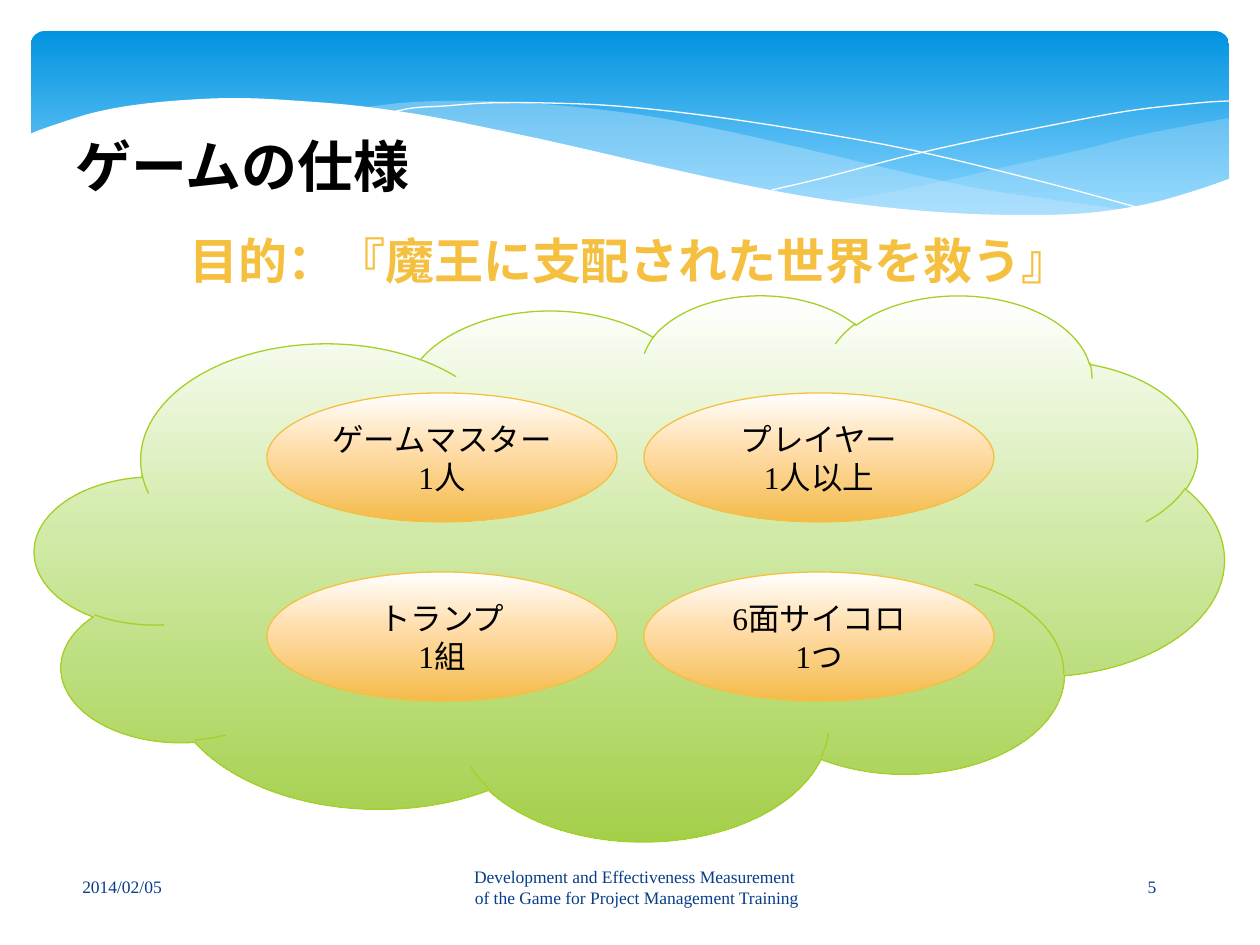
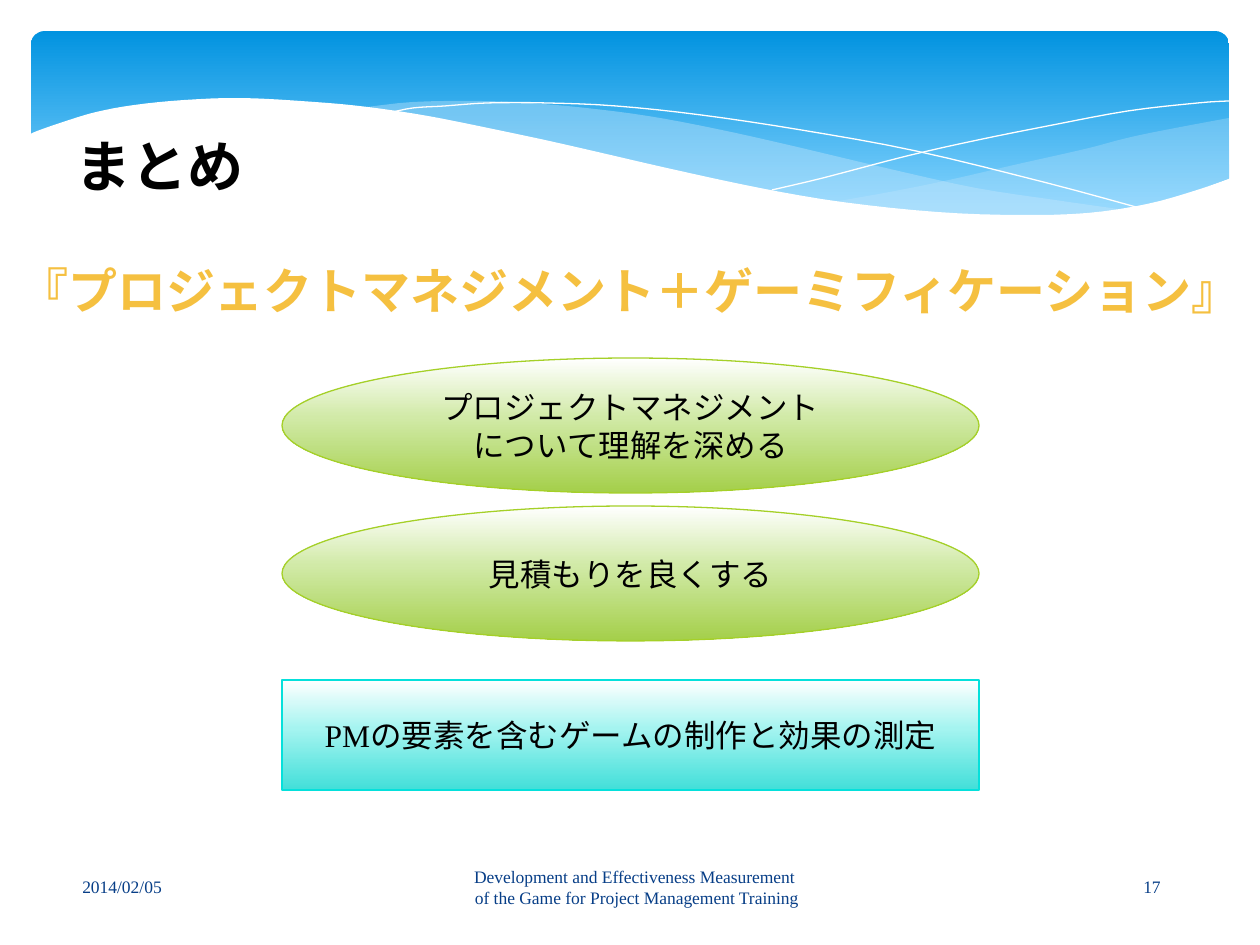
import dataclasses

import pptx
import pptx.dml.color
import pptx.enum.shapes
import pptx.enum.text
import pptx.oxml.ns
import pptx.util
from lxml import etree

EMU_PER_PX = 914400 / 126
SHAPE = pptx.enum.shapes.MSO_SHAPE
ALIGN = pptx.enum.text.PP_ALIGN
ANCHOR = pptx.enum.text.MSO_ANCHOR
qn = pptx.oxml.ns.qn


@dataclasses.dataclass(frozen=True)
class Theme:
    ink: str = "000000"
    paper: str = "FFFFFF"
    footer_ink: str = "073E87"
    gold: str = "F5C040"
    green: str = "A5D028"
    cyan: str = "05E0DB"
    ribbon: str = "C6E7FC"
    sky: tuple = ((0, "0293E0"), (90, "83D3FE"))
    gold_glow: tuple = ((0, "FFFFFF"), (44, "FFDDAA"), (100, "F4BB4A"))
    green_glow: tuple = ((0, "FFFFFF"), (44, "D1EAA7"), (100, "A4CF4A"))
    cyan_glow: tuple = ((0, "FFFFFF"), (44, "A5F4F0"), (100, "42DFD9"))
    title_size: int = 32
    slogan_size: int = 28
    body_size: int = 18
    footer_size: int = 10
    leading: float = 1.2
    title_font: str = "Arial"
    serif: str = "Times New Roman"
    japanese: str = "Noto Sans CJK JP"


THEME = Theme()

# Header curves in px from the header's corner
RIGHT_RIBBON = (
    [(1229, 118), (1160, 131), (1123, 139), (1085, 149), (1014, 165),
     (949, 180), (890, 192), (833, 202)],
    [(833, 202), (906, 210), (969, 215), (1026, 217), (1076, 214),
     (1130, 208), (1178, 197), (1230, 178)],
)
WIDE_RIBBON = (
    [(1125, 210), (1055, 200), (976, 188), (890, 169), (793, 146), (717, 129),
     (648, 116), (586, 108), (529, 103), (479, 101), (413, 102), (360, 108)],
    [(360, 108), (431, 118), (509, 134), (566, 146), (668, 170), (757, 189),
     (838, 203), (910, 212), (974, 217), (1031, 218), (1080, 215), (1125, 210)],
)
FALLING_THREAD = [
    (389, 113), (413, 108), (445, 106), (488, 103), (546, 103), (616, 106),
    (701, 115), (801, 130), (916, 151), (1047, 183), (1143, 209)]
RISING_THREAD = [
    (772, 190), (823, 178), (907, 156), (978, 140), (1053, 125), (1128, 111),
    (1198, 103), (1229, 101)]
PAPER_EDGE = [
    (1231, 178), (1197, 190), (1147, 204), (1087, 213), (1019, 215), (937, 212),
    (842, 202), (760, 188), (667, 168), (563, 144), (493, 129), (428, 116),
    (368, 107), (315, 102), (243, 98), (184, 100), (134, 105), (96, 112),
    (66, 121), (37, 131), (29, 135)]
PAPER_CORNERS = [(29, 282), (1231, 282)]


def px(length):
    return pptx.util.Emu(round(length * EMU_PER_PX))


def rgb(color):
    return pptx.dml.color.RGBColor.from_string(color)


def smooth(knots, steps=4):
    """Return points on a Catmull-Rom curve through the knots."""
    padded = [knots[0], *knots, knots[-1]]
    points = [knots[0]]
    for a, b, c, d in zip(padded, padded[1:], padded[2:], padded[3:]):
        for step in range(1, steps + 1):
            t = step / steps
            points.append(tuple(
                (2 * q + (r - p) * t + (2 * p - 5 * q + 4 * r - s) * t ** 2
                 + (3 * q - p - 3 * r + s) * t ** 3) / 2
                for p, q, r, s in zip(a, b, c, d)))
    return points


def fill_gradient(shape, stops):
    """Fill from top to bottom with (percent, colour) stops."""
    shape.fill.gradient()
    shape.fill.gradient_angle = 270
    stop_list = shape._element.spPr.find(".//" + qn("a:gsLst"))
    for old_stop in list(stop_list):
        stop_list.remove(old_stop)
    for percent, color in stops:
        stop = etree.SubElement(stop_list, qn("a:gs"), pos=str(percent * 1000))
        etree.SubElement(stop, qn("a:srgbClr"), val=color)


def write(shape, text, size, font, color, bold=False, align=ALIGN.CENTER,
          anchor=ANCHOR.MIDDLE):
    frame = shape.text_frame
    frame.text = text
    frame.word_wrap = True
    frame.vertical_anchor = anchor
    for paragraph in frame.paragraphs:
        paragraph.alignment = align
        paragraph.line_spacing = pptx.util.Pt(round(size * THEME.leading))
        for run in paragraph.runs:
            run.font.size = pptx.util.Pt(size)
            run.font.name = font
            run.font.bold = bold
            run.font.color.rgb = rgb(color)
            etree.SubElement(run._r.get_or_add_rPr(), qn("a:ea"),
                             typeface=THEME.japanese)


def add_text(slide, box, text, *style, **options):
    write(slide.shapes.add_textbox(*map(px, box)), text, *style, **options)


def add_glow_shape(slide, kind, box, stops, outline=None, text="",
                   font=THEME.serif):
    shape = slide.shapes.add_shape(kind, *map(px, box))
    shape.shadow.inherit = False
    fill_gradient(shape, stops)
    if outline:
        shape.line.color.rgb = rgb(outline)
        shape.line.width = pptx.util.Pt(0.75)
    else:
        shape.line.fill.background()
    if text:
        write(shape, text, THEME.body_size, font, THEME.ink)
    return shape


def add_outline(slide, origin, points, close):
    left, top = origin
    (start_x, start_y), *rest = [(px(left + x), px(top + y)) for x, y in points]
    builder = slide.shapes.build_freeform(start_x, start_y)
    builder.add_line_segments(rest, close=close)
    shape = builder.convert_to_shape()
    shape.shadow.inherit = False
    return shape


def add_area(slide, origin, points, color, opacity=100):
    area = add_outline(slide, origin, points, close=True)
    area.fill.solid()
    area.fill.fore_color.rgb = rgb(color)
    area.line.fill.background()
    if opacity < 100:
        solid = area._element.spPr.find(qn("a:solidFill"))
        etree.SubElement(solid[0], qn("a:alpha"), val=str(opacity * 1000))


def add_thread(slide, origin, knots):
    thread = add_outline(slide, origin, smooth(knots), close=False)
    thread.fill.background()
    thread.line.color.rgb = rgb(THEME.paper)
    thread.line.width = 0


def add_header(slide, box, title):
    left, top, width, _ = box
    origin = (left, top)
    band = add_glow_shape(slide, SHAPE.ROUNDED_RECTANGLE,
                          (left + 31, top + 31, width - 62, 197), THEME.sky)
    band.adjustments[0] = 0.07
    for (upper, lower), opacity in ((RIGHT_RIBBON, 29), (WIDE_RIBBON, 40)):
        add_area(slide, origin, smooth(upper) + smooth(lower),
                 THEME.ribbon, opacity)
    for knots in (FALLING_THREAD, RISING_THREAD):
        add_thread(slide, origin, knots)
    add_area(slide, origin, smooth(PAPER_EDGE) + PAPER_CORNERS, THEME.paper)
    add_text(slide, (left + 63, top + 126, 640, 88), title, THEME.title_size,
             THEME.title_font, THEME.ink, bold=True, align=ALIGN.LEFT,
             anchor=ANCHOR.TOP)


def add_footer(slide, box, number):
    left, top, _, height = box
    course = ("Development and Effectiveness Measurement \n"
              "of the Game for Project Management Training")
    for offset, width, text in ((0, 156, "2014/02/05"), (161, 863, course),
                                (1028, 160, str(number))):
        add_text(slide, (left + offset, top, width, height), text,
                 THEME.footer_size, THEME.serif, THEME.footer_ink)


def add_slogan(slide, box, text):
    add_text(slide, box, text, THEME.slogan_size, THEME.japanese, THEME.gold,
             bold=True, anchor=ANCHOR.TOP)


def add_game_cloud(slide, box, requirements):
    """Draw a cloud with the requirements in two columns."""
    add_glow_shape(slide, SHAPE.CLOUD, box, THEME.green_glow, THEME.green)
    left, top, _, _ = box
    for index, requirement in enumerate(requirements):
        row, column = divmod(index, 2)
        add_glow_shape(slide, SHAPE.OVAL,
                       (left + 232 + column * 377, top + 99 + row * 179, 350, 129),
                       THEME.gold_glow, THEME.gold, requirement)


def add_conclusions(slide, box, goals, work):
    """Stack the goals as ellipses above a bar naming the work done."""
    left, top, width, height = box
    for index, goal in enumerate(goals):
        add_glow_shape(slide, SHAPE.OVAL, (left, top + index * 148, width, 135),
                       THEME.green_glow, THEME.green, goal, THEME.japanese)
    bar_height = 110
    add_glow_shape(slide, SHAPE.RECTANGLE,
                   (left, top + height - bar_height, width, bar_height),
                   THEME.cyan_glow, THEME.cyan, work)


def add_base_slide(deck, title, number):
    slide = deck.slides.add_slide(deck.slide_layouts[6])
    add_header(slide, (0, 0, 1260, 282), title)
    add_footer(slide, (44, 862, 1188, 50), number)
    return slide


def main():
    deck = pptx.Presentation()
    deck.slide_width, deck.slide_height = px(1260), px(945)

    rules = add_base_slide(deck, "ゲームの仕様", 5)
    add_game_cloud(rules, (35, 294, 1189, 546),
                   ("ゲームマスター\n1人", "プレイヤー\n1人以上",
                    "トランプ\n1組", "6面サイコロ\n1つ"))
    add_slogan(rules, (0, 224, 1260, 72), "目的：『魔王に支配された世界を救う』")

    summary = add_base_slide(deck, "まとめ", 17)
    add_slogan(summary, (0, 254, 1260, 72),
               "『プロジェクトマネジメント＋ゲーミフィケーション』")
    add_conclusions(summary, (282, 358, 697, 432),
                    ("プロジェクトマネジメント\nについて理解を深める",
                     "見積もりを良くする"),
                    "PMの要素を含むゲームの制作と効果の測定")
    deck.save("out.pptx")


if __name__ == "__main__":
    main()
